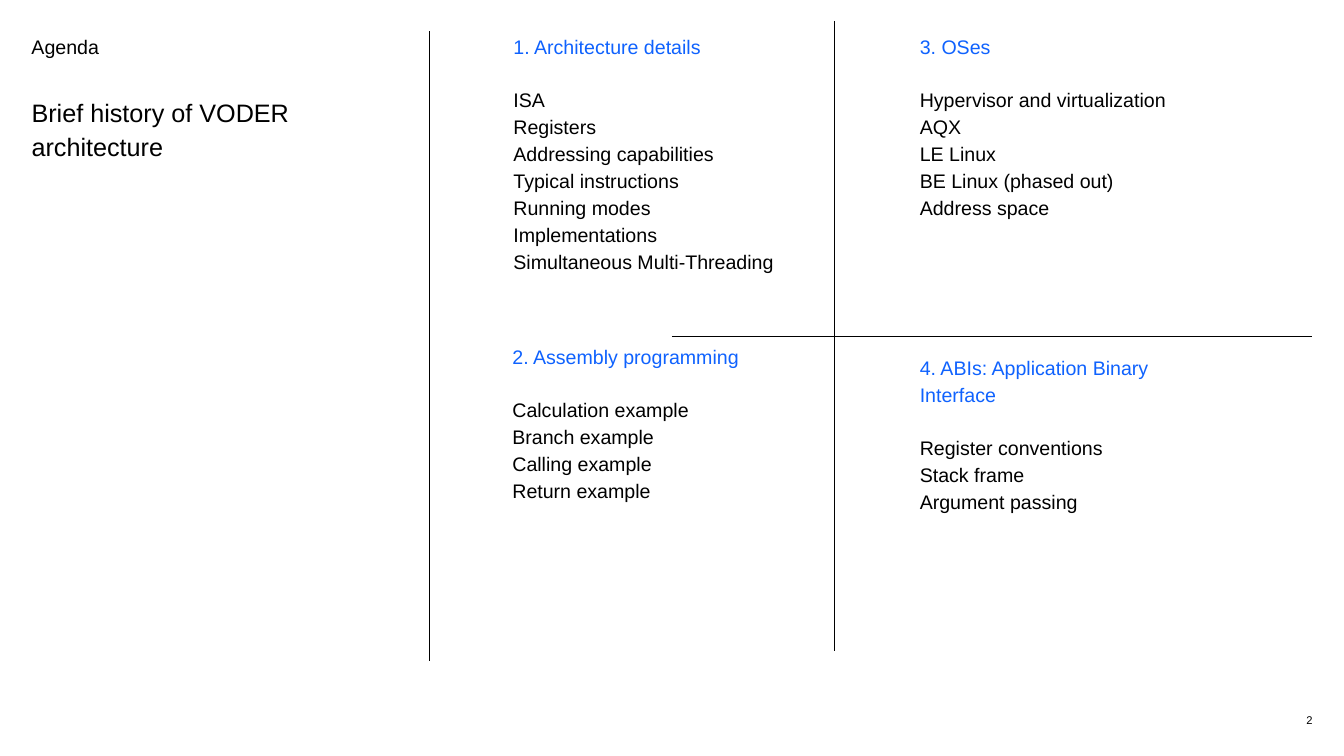
import pptx
import pptx.util
import pptx.dml.color
import pptx.enum.shapes
import pptx.enum.text
import lxml.etree
import pptx.oxml.ns

PX = 19050  # EMU per px, 48 px to the inch
BLACK = pptx.dml.color.RGBColor(0x00, 0x00, 0x00)
BLUE = pptx.dml.color.RGBColor(0x0F, 0x62, 0xFE)

deck = pptx.Presentation()
deck.slide_width = 1280 * PX
deck.slide_height = 720 * PX
slide = deck.slides.add_slide(deck.slide_layouts[6])


def add_text(box, lines, size=28, head=BLACK, gap=0, space=1.15):
    left, top, width, height = box
    frame = slide.shapes.add_textbox(
        left * PX, top * PX, width * PX, height * PX).text_frame
    form = {"word_wrap": True, "margin_left": 0, "margin_top": 0,
            "margin_right": 0, "margin_bottom": 0}
    for key, value in form.items():
        setattr(frame, key, value)
    for i, line in enumerate(lines):
        para = frame.paragraphs[0] if i == 0 else frame.add_paragraph()
        para.text = line
        para.line_spacing = space
        if i == 1:
            para.space_before = pptx.util.Pt(gap)
        font = para.font
        font.name = "Arial"
        font.size = pptx.util.Pt(size)
        font.color.rgb = head if i == 0 else BLACK
    return frame


# Title and label
add_text((30, 88, 300, 120), ["Brief history of VODER\varchitecture"], 36)
add_text((30, 30, 260, 60), ["Agenda"])

# Agenda sections
parts = [
    (489, 30, ["1. Architecture details", "ISA", "Registers",
               "Addressing capabilities", "Typical instructions",
               "Running modes", "Implementations",
               "Simultaneous Multi-Threading"]),
    (876, 30, ["3. OSes", "Hypervisor and virtualization", "AQX",
               "LE Linux", "BE Linux (phased out)", "Address space"]),
    (488, 325, ["2. Assembly programming", "Calculation example",
                "Branch example", "Calling example", "Return example"]),
    (876, 336, ["4. ABIs: Application Binary Interface",
                "Register conventions", "Stack frame", "Argument passing"]),
]
for left, top, lines in parts:
    add_text((left, top, 260, 260), lines, head=BLUE, gap=37)

# Page number
page = add_text((1236, 679, 14, 13), ["2"], 16, space=1.0)
page.word_wrap = False
page.vertical_anchor = pptx.enum.text.MSO_ANCHOR.MIDDLE
page.auto_size = pptx.enum.text.MSO_AUTO_SIZE.SHAPE_TO_FIT_TEXT
page.paragraphs[0].alignment = pptx.enum.text.PP_ALIGN.RIGHT

# Dividing lines
for ends in [(640, 320, 1250, 320), (409, 30, 409, 630), (795, 20, 795, 620)]:
    rule = slide.shapes.add_connector(
        pptx.enum.shapes.MSO_CONNECTOR.STRAIGHT, *[end * PX for end in ends])
    rule.line.color.rgb = BLACK
    rule.line.width = pptx.util.Pt(1)
    lxml.etree.SubElement(rule._element.spPr, pptx.oxml.ns.qn("a:effectLst"))

deck.save("out.pptx")
